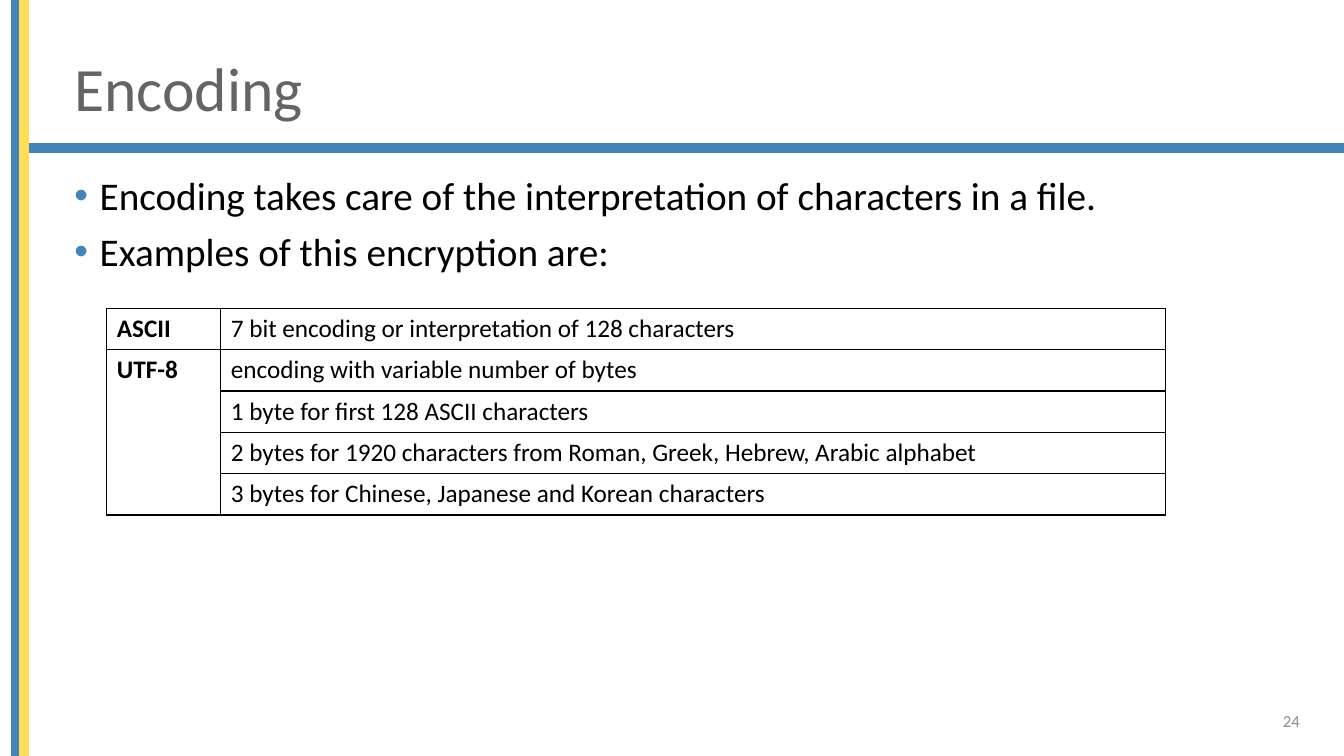
import pptx
import pptx.dml.color
import pptx.enum.shapes
import pptx.enum.text
import pptx.oxml.ns
import pptx.util
from lxml import etree

Inches = pptx.util.Inches
Pt = pptx.util.Pt
RGBColor = pptx.dml.color.RGBColor
Anchor = pptx.enum.text.MSO_ANCHOR
Align = pptx.enum.text.PP_ALIGN
qn = pptx.oxml.ns.qn

TITLE = "Encoding"
BULLETS = [
    "Encoding takes care of the interpretation of characters in a file.",
    "Examples of this encryption are:",
]
ENCODINGS = [
    ("ASCII", ["7 bit encoding or interpretation of 128 characters"]),
    ("UTF-8", [
        "encoding with variable number of bytes",
        "1 byte for first 128 ASCII characters",
        "2 bytes for 1920 characters from Roman, Greek, Hebrew, Arabic alphabet",
        "3 bytes for Chinese, Japanese and Korean characters",
    ]),
]
PAGE_NUMBER = "24"

BLUE = RGBColor(0x45, 0x84, 0xB6)
YELLOW = RGBColor(0xFF, 0xDE, 0x57)
TITLE_GRAY = RGBColor(0x64, 0x64, 0x64)
NUMBER_GRAY = RGBColor(0x8C, 0x8C, 0x8C)
BLACK = RGBColor(0, 0, 0)

SLIDE_WIDTH, SLIDE_HEIGHT = 13.33, 7.5
BAR = 0.08
BAR_LEFT = 0.12
RULE_TOP = 1.43
MARGIN = 0.64
TABLE_LEFT, TABLE_TOP = 1.06, 3.06
COLUMN_WIDTHS = [1.13, 9.37]
ROW_HEIGHT = 0.41

TITLE_FONT = {"name": "Calibri", "size": Pt(44), "color": TITLE_GRAY}
BODY_FONT = {"name": "Calibri", "size": Pt(28), "color": BLACK}
CELL_FONT = {"name": "Calibri", "size": Pt(18), "color": BLACK, "bold": False}
NUMBER_FONT = {"name": "Calibri", "size": Pt(12), "color": NUMBER_GRAY}


def add_bar(page, left, top, width, height, color):
    bar = page.shapes.add_shape(
        pptx.enum.shapes.MSO_SHAPE.RECTANGLE,
        Inches(left), Inches(top), Inches(width), Inches(height))
    bar.shadow.inherit = False
    bar.fill.solid()
    bar.fill.fore_color.rgb = color
    bar.line.color.rgb = color
    bar.line.width = Pt(1)


def write(para, text, font, **layout):
    span = para.add_run()
    span.text = text
    for name, value in font.items():
        if name == "color":
            span.font.color.rgb = value
        else:
            setattr(span.font, name, value)
    for name, value in layout.items():
        setattr(para, name, value)


def add_frame(page, left, top, width, height, anchor):
    box = page.shapes.add_textbox(
        Inches(left), Inches(top), Inches(width), Inches(height))
    frame = box.text_frame
    frame.word_wrap = True
    frame.vertical_anchor = anchor
    return frame


def set_bullet(para):
    properties = para._p.get_or_add_pPr()
    properties.set("marL", str(Inches(0.25)))
    properties.set("indent", str(-Inches(0.25)))
    color = etree.SubElement(properties, qn("a:buClr"))
    etree.SubElement(color, qn("a:srgbClr"), val=str(BLUE))
    etree.SubElement(properties, qn("a:buFont"), typeface="Arial")
    etree.SubElement(properties, qn("a:buChar"), char="•")


def set_borders(cell):
    properties = cell._tc.get_or_add_tcPr()
    for side in ("lnL", "lnR", "lnT", "lnB"):
        line = etree.SubElement(properties, qn("a:" + side), w=str(Pt(1)))
        fill = etree.SubElement(line, qn("a:solidFill"))
        etree.SubElement(fill, qn("a:srgbClr"), val=str(BLACK))


def add_encoding_table(page):
    row_count = sum(len(notes) for _, notes in ENCODINGS)
    table = page.shapes.add_table(
        row_count, len(COLUMN_WIDTHS), Inches(TABLE_LEFT), Inches(TABLE_TOP),
        Inches(sum(COLUMN_WIDTHS)), Inches(row_count * ROW_HEIGHT)).table
    table.first_row = False
    table.horz_banding = False
    for column, width in zip(table.columns, COLUMN_WIDTHS):
        column.width = Inches(width)
    for row in table.rows:
        row.height = Inches(ROW_HEIGHT)
    for cell in table.iter_cells():
        set_borders(cell)
        cell.fill.background()

    top = 0
    for name, notes in ENCODINGS:
        name_cell = table.cell(top, 0)
        if len(notes) > 1:
            name_cell.merge(table.cell(top + len(notes) - 1, 0))
        write(name_cell.text_frame.paragraphs[0], name, CELL_FONT | {"bold": True})
        for row, note in enumerate(notes, top):
            write(table.cell(row, 1).text_frame.paragraphs[0], note, CELL_FONT)
        top += len(notes)


def main():
    deck = pptx.Presentation()
    deck.slide_width = Inches(SLIDE_WIDTH)
    deck.slide_height = Inches(SLIDE_HEIGHT)
    page = deck.slides.add_slide(deck.slide_layouts[6])

    rule_left = BAR_LEFT + 2 * BAR
    add_bar(page, rule_left, RULE_TOP, SLIDE_WIDTH - rule_left, BAR, BLUE)
    for index, color in enumerate((BLUE, YELLOW)):
        add_bar(page, BAR_LEFT + index * BAR, 0, BAR, SLIDE_HEIGHT, color)

    title = add_frame(page, MARGIN, 0.4, 11.78, 1.01, Anchor.MIDDLE)
    write(title.paragraphs[0], TITLE, TITLE_FONT, line_spacing=0.9)

    body = add_frame(page, MARGIN, 1.7, SLIDE_WIDTH - MARGIN, 5.06, Anchor.TOP)
    for index, text in enumerate(BULLETS):
        para = body.add_paragraph() if index else body.paragraphs[0]
        write(para, text, BODY_FONT, line_spacing=0.9, space_before=Pt(10))
        set_bullet(para)

    number = add_frame(page, 9.99, 6.95, 3, 0.4, Anchor.MIDDLE)
    write(number.paragraphs[0], PAGE_NUMBER, NUMBER_FONT, alignment=Align.RIGHT)

    add_encoding_table(page)
    deck.save("out.pptx")


if __name__ == "__main__":
    main()
